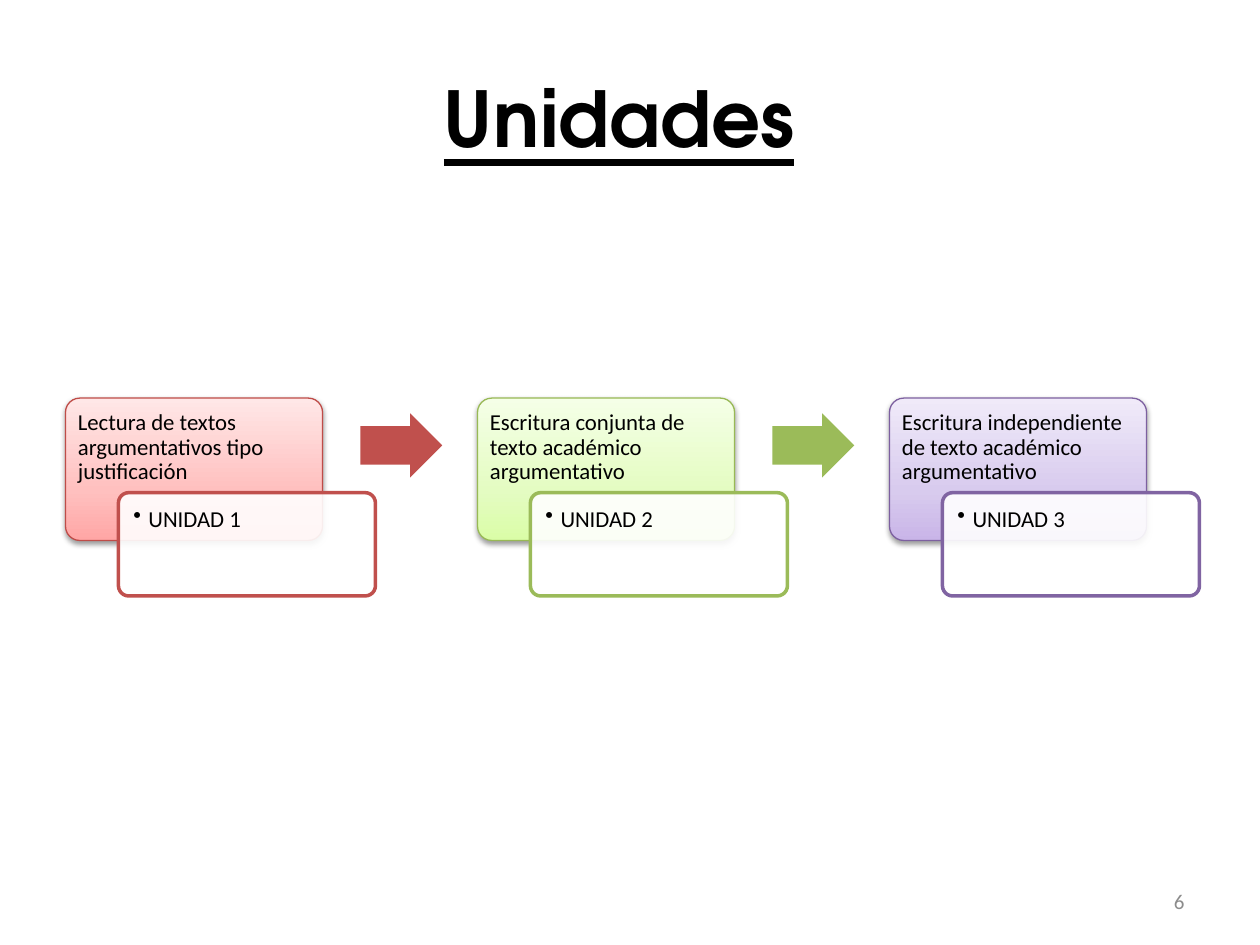
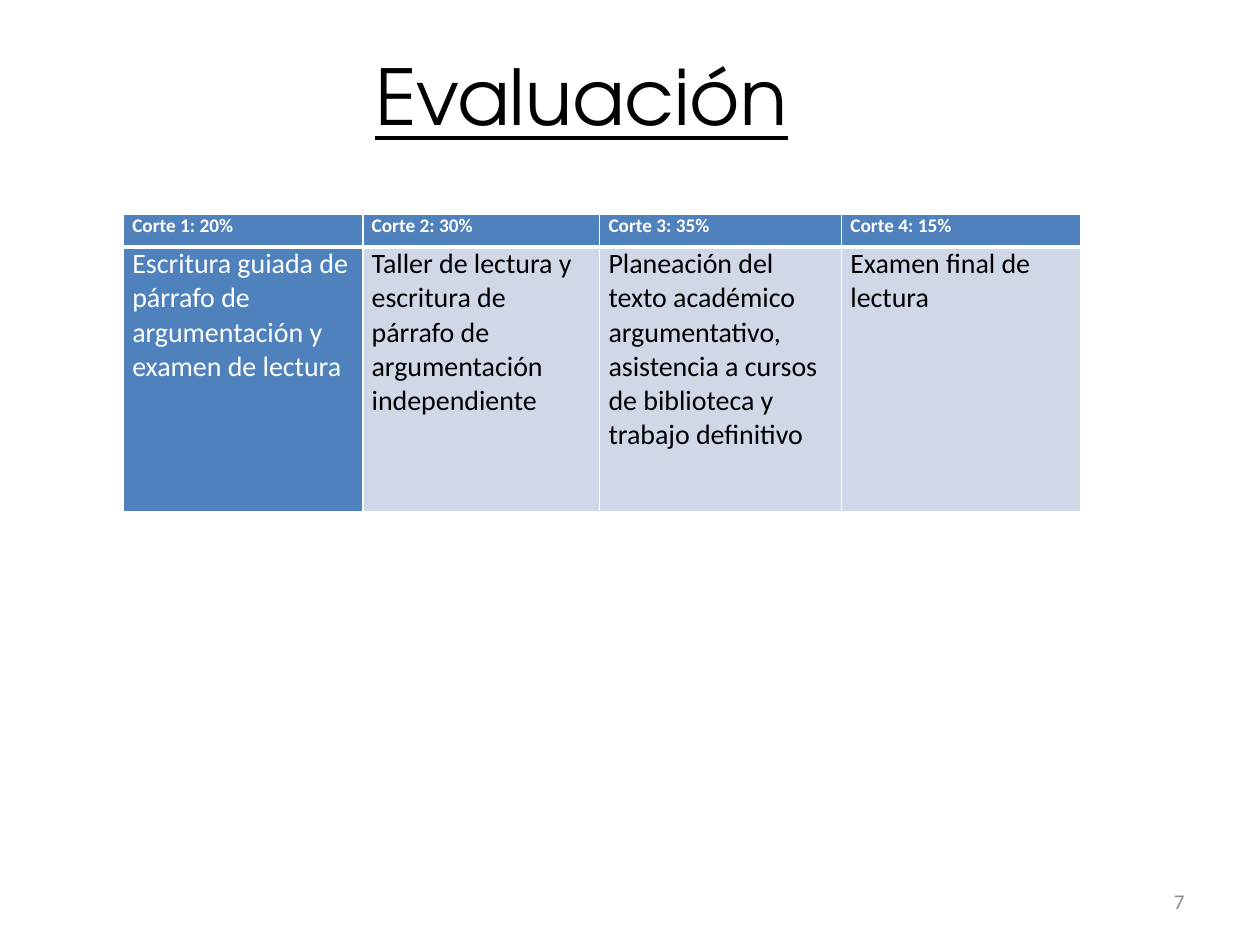
import copy
from dataclasses import dataclass

import pptx
import pptx.dml.color
import pptx.enum.shapes
import pptx.enum.text
import pptx.oxml
import pptx.oxml.ns
import pptx.util
from lxml import etree

Inches = pptx.util.Inches
Pt = pptx.util.Pt
Shape = pptx.enum.shapes.MSO_SHAPE
Align = pptx.enum.text.PP_ALIGN
Anchor = pptx.enum.text.MSO_ANCHOR
qn = pptx.oxml.ns.qn

COLOURS = {
    "text": "000000", "white": "FFFFFF", "number": "8C8C8C",
    "header": "4F81BD", "body": "D0D8E8",
}
TITLE_FONT = "TeX Gyre Adventor"
BODY_FONT = "Calibri"


@dataclass
class Unit:
    """One step of the course: a topic card and its unit label."""
    topic: str
    label: str
    accent: str
    edge: str
    gradient: tuple[str, str, str]


@dataclass
class Term:
    """One graded term: a table column."""
    heading: str
    work: str
    width: float


UNITS = [
    Unit("Lectura de textos argumentativos tipo justificación", "UNIDAD 1",
         "C0504D", "BF4C48", ("FFA6A5", "FFC0BF", "FFE7E7")),
    Unit("Escritura conjunta de texto académico argumentativo", "UNIDAD 2",
         "9BBB59", "98B955", ("DAFDA7", "E4FCC2", "F5FFE7")),
    Unit("Escritura independiente de texto académico argumentativo", "UNIDAD 3",
         "8064A2", "7D60A0", ("C9B5E8", "D8CBEE", "F0EAF9")),
]
TERMS = [
    Term("Corte 1: 20%", "Escritura guiada de párrafo de argumentación y "
         "examen de lectura", 1.9),
    Term("Corte 2: 30%", "Taller de lectura y escritura de párrafo de "
         "argumentación independiente", 1.88),
    Term("Corte 3: 35%", "Planeación del texto académico argumentativo, "
         "asistencia a cursos de biblioteca y trabajo definitivo", 1.92),
    Term("Corte 4: 15%", "Examen final de lectura", 1.9),
]


def rgb(colour: str):
    """Turn a hex string into a colour."""
    return pptx.dml.color.RGBColor.from_string(colour)


def write(frame, text: str, *, size: float, colour: str = COLOURS["text"],
          font: str = BODY_FONT, bold: bool = False, underline: bool = False,
          align=Align.LEFT, anchor=Anchor.TOP, insets=(0.1, 0.05, 0.1, 0.05),
          spacing: float = 1.0):
    """Write one formatted paragraph into a text frame and return it."""
    frame.word_wrap = True
    frame.vertical_anchor = anchor
    (frame.margin_left, frame.margin_top,
     frame.margin_right, frame.margin_bottom) = map(Inches, insets)
    paragraph = frame.paragraphs[0]
    paragraph.alignment = align
    paragraph.line_spacing = spacing
    run = paragraph.add_run()
    run.text = text
    run.font.name = font
    run.font.size = Pt(size)
    run.font.bold = bold
    run.font.underline = underline
    run.font.color.rgb = rgb(colour)
    return paragraph


def add_text(slide, box: tuple, text: str, **style):
    """Add a text box with one paragraph."""
    frame = slide.shapes.add_textbox(*map(Inches, box)).text_frame
    return write(frame, text, **style)


def add_title(slide, box: tuple, text: str, bold: bool) -> None:
    """Add the underlined title, with a plain space after it."""
    paragraph = add_text(slide, box, text, size=44, font=TITLE_FONT, bold=bold,
                         underline=True, align=Align.CENTER, anchor=Anchor.MIDDLE)
    space = paragraph.add_run()
    space.text = " "
    space.font.name = TITLE_FONT
    space.font.size = Pt(44)
    space.font.underline = False


def add_page_number(slide, number: int) -> None:
    """Add the page number at the bottom right."""
    add_text(slide, (7.17, 6.95, 2.33, 0.4), str(number), size=12,
             colour=COLOURS["number"], align=Align.RIGHT, anchor=Anchor.MIDDLE)


def add_panel(slide, kind, box: tuple, adjustments: tuple, fill: str,
              line: str = "", width: float = 0):
    """Add a preset shape with a solid fill and an optional outline."""
    panel = slide.shapes.add_shape(kind, *map(Inches, box))
    panel.shadow.inherit = False
    for index, value in enumerate(adjustments):
        panel.adjustments[index] = value
    panel.fill.solid()
    panel.fill.fore_color.rgb = rgb(fill)
    if line:
        panel.line.color.rgb = rgb(line)
        panel.line.width = Pt(width)
    else:
        panel.line.fill.background()
    return panel


def shade(panel, colours: tuple) -> None:
    """Give a shape a three-stop gradient that rises from the bottom."""
    panel.fill.gradient()
    panel.fill.gradient_angle = 90
    stop_list = panel._element.spPr.find(".//" + qn("a:gsLst"))
    stop_list.append(copy.deepcopy(stop_list[0]))
    for stop, position, colour in zip(panel.fill.gradient_stops, (0, 0.35, 1), colours):
        stop.position = position
        stop.color.rgb = rgb(colour)


def drop_shadow(panel) -> None:
    """Add a soft shadow below a shape."""
    effects = panel._element.spPr.find(qn("a:effectLst"))
    shadow = etree.SubElement(effects, qn("a:outerShdw"), blurRad=str(Pt(3.1)),
                              dist=str(Pt(1.6)), dir="5400000", rotWithShape="0")
    black = etree.SubElement(shadow, qn("a:srgbClr"), val=COLOURS["text"])
    etree.SubElement(black, qn("a:alpha"), val="38000")


def make_translucent(panel, percent: int) -> None:
    """Set the opacity of a solid fill."""
    colour = panel._element.spPr.find(qn("a:solidFill"))[0]
    etree.SubElement(colour, qn("a:alpha"), val=str(percent * 1000))


def add_bullet(paragraph, indent: float) -> None:
    """Give a paragraph a hanging bullet."""
    paragraph.level = 1
    properties = paragraph._p.get_or_add_pPr()
    properties.set("marL", str(Inches(indent)))
    properties.set("indent", str(-Inches(indent)))
    etree.SubElement(properties, qn("a:buChar"), char="•")


def add_unit(slide, unit: Unit, left: float, top: float) -> None:
    """Draw a topic card with its overlapping unit label."""
    card = add_panel(slide, Shape.ROUNDED_RECTANGLE, (left, top, 2.04, 1.13), (0.1,),
                     COLOURS["white"], unit.edge, 0.75)
    shade(card, unit.gradient)
    drop_shadow(card)
    add_text(slide, (left, top, 2.04, 0.75), unit.topic, size=13,
             insets=(0.1, 0.1, 0.1, 0.05), spacing=0.9)
    label = add_panel(slide, Shape.ROUNDED_RECTANGLE,
                      (left + 0.42, top + 0.75, 2.04, 0.82), (0.1,),
                      COLOURS["white"], unit.accent, 2)
    make_translucent(label, 90)
    name = add_text(slide, (left + 0.44, top + 0.77, 1.99, 0.77), unit.label, size=13,
                    insets=(0.1, 0.1, 0.1, 0.1), spacing=0.9)
    add_bullet(name, 0.12)


def set_borders(cell, **widths: float) -> None:
    """Draw white cell borders; widths are points by side."""
    properties = cell._tc.get_or_add_tcPr()
    for side in ("L", "R", "T", "B"):
        border = etree.SubElement(properties, qn("a:ln" + side),
                                  w=str(Pt(widths.get(side, 1))))
        fill = etree.SubElement(border, qn("a:solidFill"))
        etree.SubElement(fill, qn("a:srgbClr"), val=COLOURS["white"])


def fill_cell(cell, text: str, fill: str, borders: dict, **style) -> None:
    """Write, outline and fill one table cell."""
    set_borders(cell, **borders)
    cell.fill.solid()
    cell.fill.fore_color.rgb = rgb(fill)
    cell.vertical_anchor = Anchor.TOP
    write(cell.text_frame, text, **style)
    cell.margin_left = cell.margin_right = Inches(0.07)
    cell.margin_top = cell.margin_bottom = 0


def build_units(slide) -> None:
    """Build the slide with the chain of units."""
    add_title(slide, (0.5, 0.3, 9, 1.25), "Unidades", bold=True)
    first_left, top, pitch = 0.52, 3.16, 3.27
    for index, unit in enumerate(UNITS):
        left = first_left + index * pitch
        add_unit(slide, unit, left, top)
        if index < len(UNITS) - 1:
            add_panel(slide, Shape.RIGHT_ARROW, (left + 2.34, top + 0.12, 0.65, 0.51),
                      (0.6, 0.5), unit.accent)
    add_page_number(slide, 6)


def build_grading(slide) -> None:
    """Build the slide with the grading table."""
    add_title(slide, (0.2, 0.13, 9, 1.25), "Evaluación", bold=False)
    add_page_number(slide, 7)
    grading = slide.shapes.add_table(
        2, len(TERMS), *map(Inches, (0.98, 1.7, 7.6, 2.36))).table
    grading.horz_banding = False
    for row, height in zip(grading.rows, (0.26, 2.1)):
        row.height = Inches(height)
    for index, term in enumerate(TERMS):
        grading.columns[index].width = Inches(term.width)
        fill_cell(grading.cell(0, index), term.heading, COLOURS["header"], {"B": 3},
                  size=11, bold=True, colour=COLOURS["white"])
        fill, colour = (("header", "white") if index == 0 else ("body", "text"))
        fill_cell(grading.cell(1, index), term.work, COLOURS[fill], {"T": 3},
                  size=16, colour=COLOURS[colour])


def main() -> None:
    """Build and save the presentation."""
    deck = pptx.Presentation()
    deck.slide_width, deck.slide_height = Inches(10), Inches(7.5)
    blank = deck.slide_layouts[6]
    for build in (build_units, build_grading):
        build(deck.slides.add_slide(blank))
    deck.save("out.pptx")


main()
